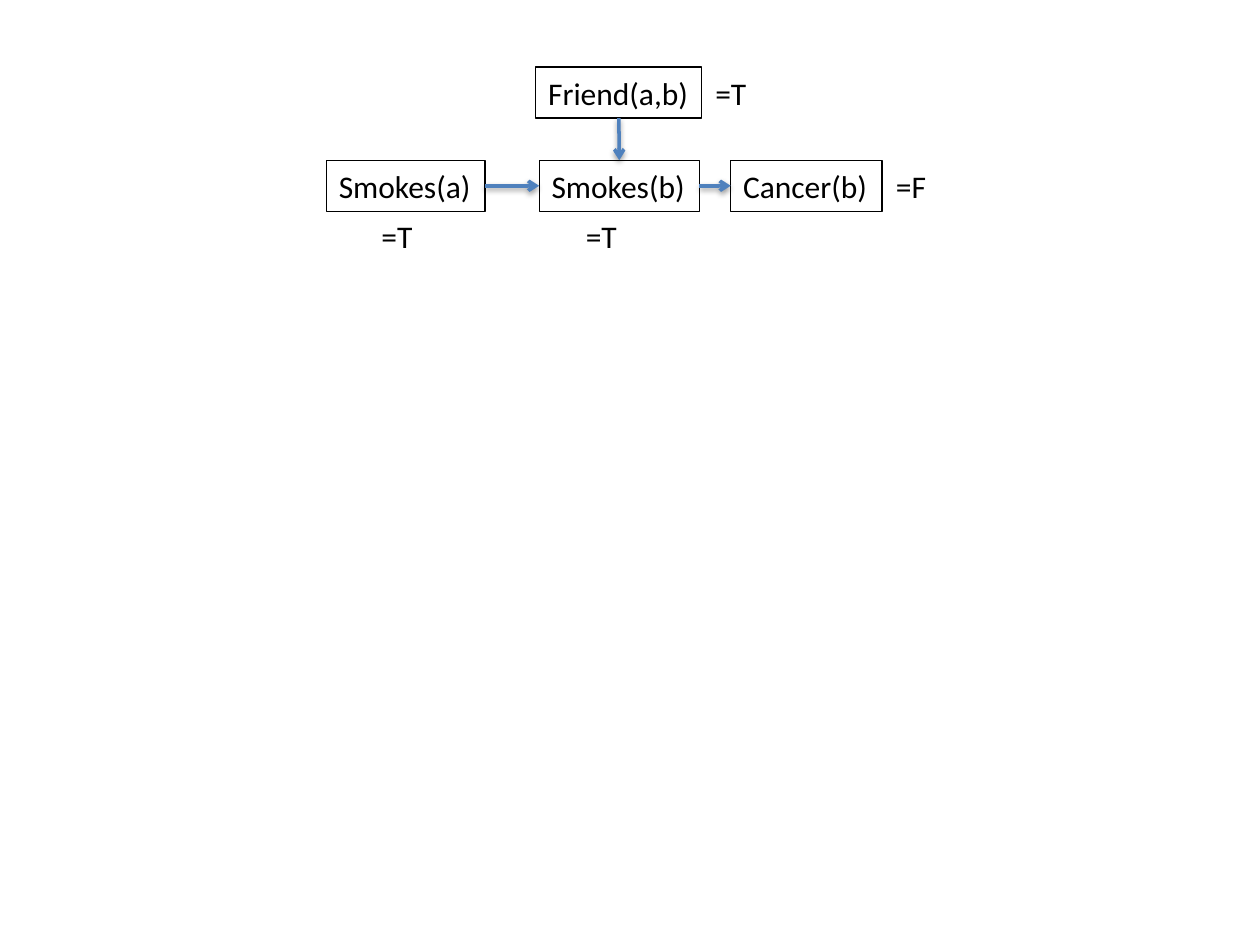
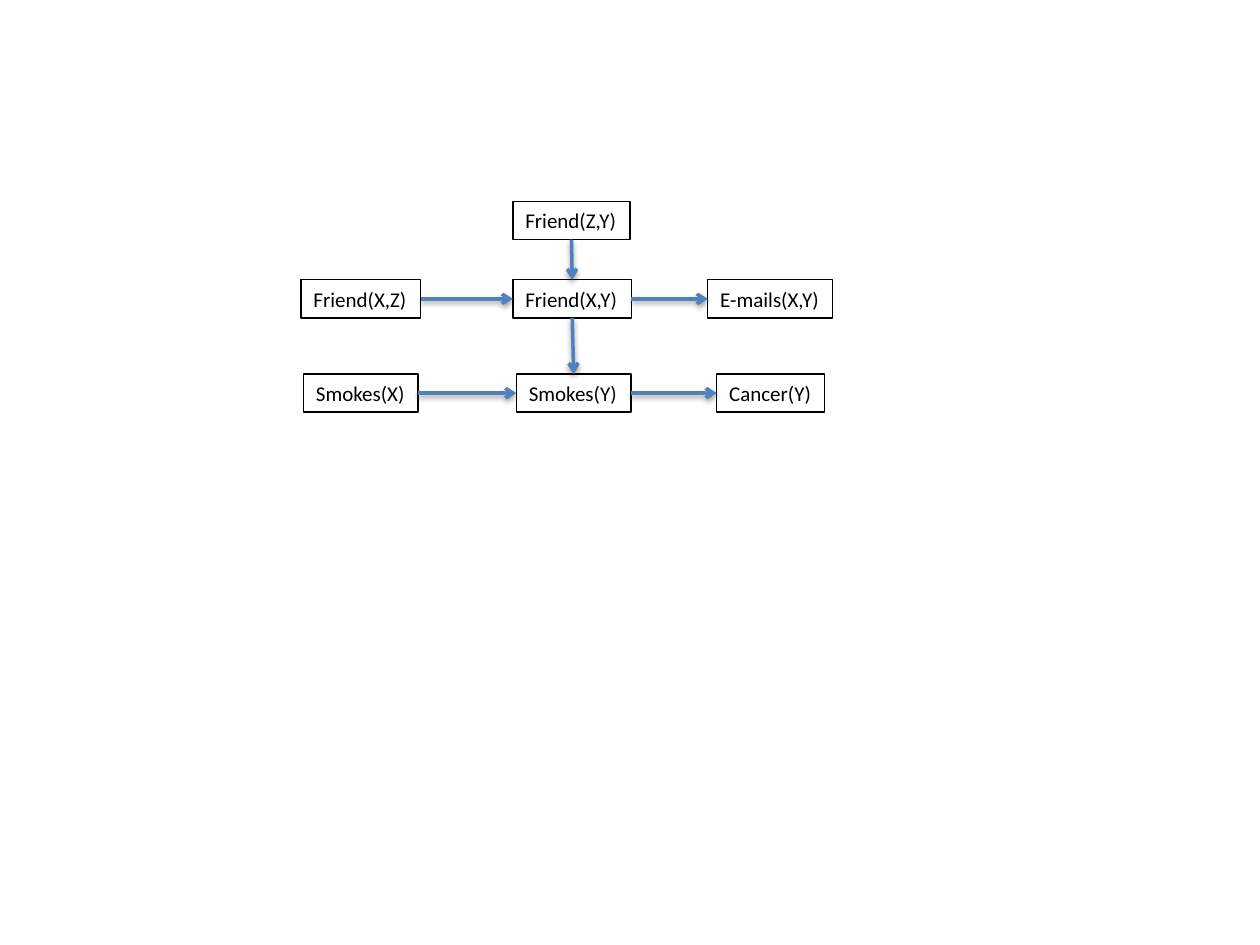
"""Build two slides of dependency graphs between friendship, smoking and cancer."""
from lxml.etree import SubElement as Sub
from pptx import Presentation
from pptx.dml.color import RGBColor
from pptx.enum.shapes import MSO_CONNECTOR as Line, MSO_SHAPE as Form
from pptx.enum.text import MSO_ANCHOR as Anchor, PP_ALIGN as Align
from pptx.oxml.ns import qn
from pptx.util import Cm, Pt

BLACK, BLUE = "000000", "4F81BD"
TOP, LEFT, BOTTOM, RIGHT = range(4)


def tint(code):
    return RGBColor.from_string(code)


def write(shape, text, size):
    frame = shape.text_frame
    frame.vertical_anchor = Anchor.MIDDLE
    line = frame.paragraphs[0]
    line.text = text
    line.alignment = Align.LEFT
    line.font.name = "Calibri"
    line.font.size = Pt(size)
    line.font.color.rgb = tint(BLACK)
    return frame


graphs = [
    {
        "size": 18,
        "high": 1.03,
        "rows": {
            1.35: [("Friend(a,b)", 10.8, 3.35)],
            3.23: [("Smokes(a)", 6.58, 3.2), ("Smokes(b)", 10.87, 3.23),
                   ("Cancer(b)", 14.73, 3.05)],
        },
        "down": [("Friend(a,b)", "Smokes(b)")],
        "across": [("Smokes(a)", "Smokes(b)"), ("Smokes(b)", "Cancer(b)")],
        "values": [("=T", 14.17, 1.35), ("=F", 17.81, 3.23),
                   ("=T", 11.56, 4.25), ("=T", 7.44, 4.25)],
    },
    {
        "size": 12,
        "high": 0.77,
        "rows": {
            4.06: [("Friend(Z,Y)", 10.34, 2.36)],
            5.64: [("Friend(X,Z)", 6.07, 2.41), ("Friend(X,Y)", 10.34, 2.39),
                   ("E-mails(X,Y)", 14.27, 2.51)],
            7.54: [("Smokes(X)", 6.12, 2.31), ("Smokes(Y)", 10.41, 2.31),
                   ("Cancer(Y)", 14.45, 2.18)],
        },
        "down": [("Friend(Z,Y)", "Friend(X,Y)"), ("Friend(X,Y)", "Smokes(Y)")],
        "across": [("Friend(X,Z)", "Friend(X,Y)"), ("Friend(X,Y)", "E-mails(X,Y)"),
                   ("Smokes(X)", "Smokes(Y)"), ("Smokes(Y)", "Cancer(Y)")],
        "values": [],
    },
]

deck = Presentation()
deck.slide_width, deck.slide_height = Cm(25.4), Cm(19.05)

for graph in graphs:
    shapes = deck.slides.add_slide(deck.slide_layouts[6]).shapes
    size, high = graph["size"], Cm(graph["high"])

    nodes = {}
    for top, row in graph["rows"].items():
        for text, left, wide in row:
            node = shapes.add_shape(Form.RECTANGLE, Cm(left), Cm(top), Cm(wide), high)
            node.shadow.inherit = False
            node.fill.background()
            node.line.color.rgb = tint(BLACK)
            node.line.width = Pt(0.75)
            write(node, text, size).word_wrap = False
            nodes[text] = node

    for way, start, end in (("down", BOTTOM, TOP), ("across", RIGHT, LEFT)):
        for cause, effect in graph[way]:
            arrow = shapes.add_connector(Line.STRAIGHT, 0, 0, 0, 0)
            arrow.begin_connect(nodes[cause], start)
            arrow.end_connect(nodes[effect], end)
            arrow.line.color.rgb = tint(BLUE)
            arrow.line.width = Pt(2)
            Sub(arrow.line._get_or_add_ln(), qn("a:tailEnd"), type="arrow")
            glow = Sub(arrow._element.spPr, qn("a:effectLst"))
            shade = Sub(glow, qn("a:outerShdw"), blurRad="40000", dist="20000",
                        dir="5400000", rotWithShape="0")
            Sub(Sub(shade, qn("a:srgbClr"), val=BLACK), qn("a:alpha"), val="38000")

    for text, left, top in graph["values"]:
        label = shapes.add_textbox(Cm(left), Cm(top), Cm(1.83 if text == "=T" else 1.24), high)
        write(label, text, size).word_wrap = True

deck.save("out.pptx")
